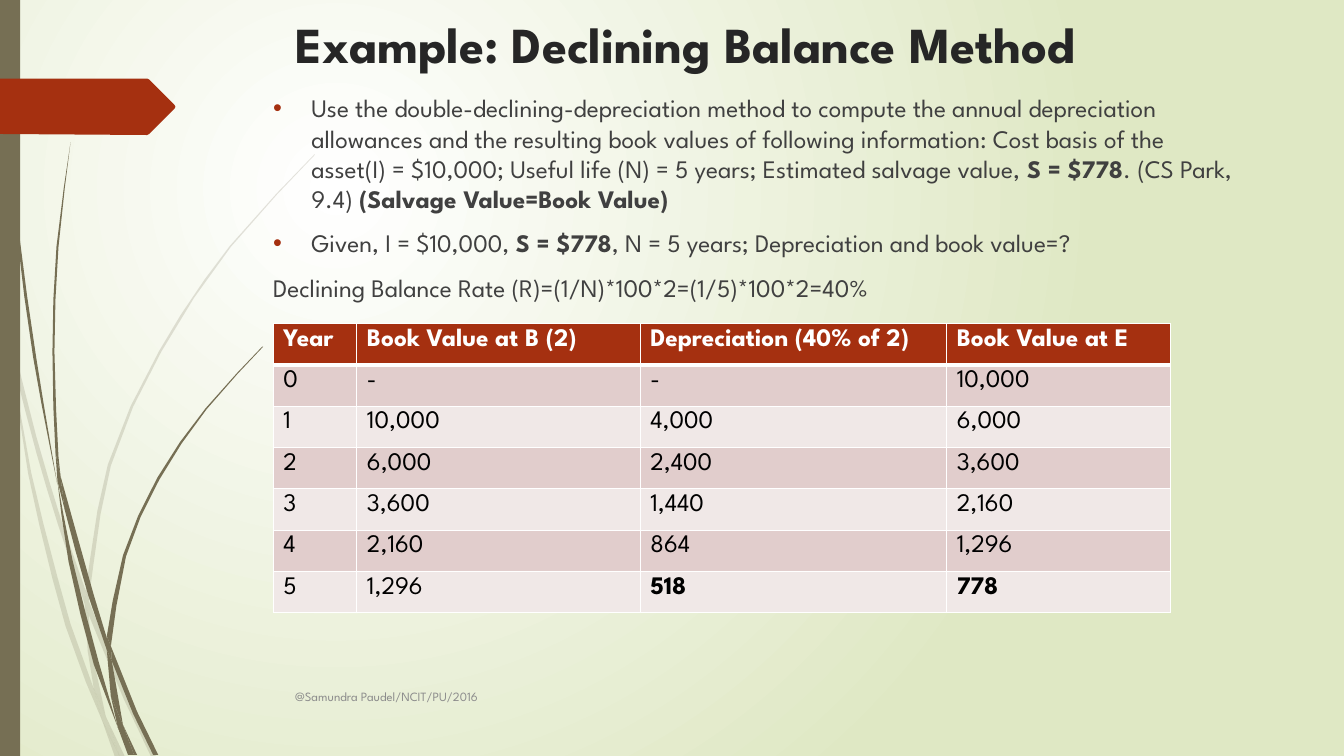
"""Build the declining balance slide with its grass border, notes and depreciation table."""
from dataclasses import dataclass
from math import dist

from lxml import etree
from pptx import Presentation
from pptx.dml.color import RGBColor
from pptx.enum.shapes import MSO_SHAPE
from pptx.enum.text import MSO_ANCHOR
from pptx.oxml.ns import qn
from pptx.util import Inches, Pt

RECTANGLE = MSO_SHAPE.RECTANGLE
TOP, MIDDLE = MSO_ANCHOR.TOP, MSO_ANCHOR.MIDDLE
FONT = "League Spartan"
COLORS = {
    "white": "FFFFFF", "meadow": "DFE8C4", "olive": "766F54", "rust": "A53010",
    "title": "262626", "body": "404040", "footer": "8C8C8C", "black": "000000",
    "dark_row": "E1CDCC", "light_row": "F0E8E7",
}
Point = tuple[float, float]


@dataclass(frozen=True)
class Blade:
    """Left and right edge of one grass blade, listed in the same direction."""
    left: tuple[Point, ...]
    right: tuple[Point, ...]


@dataclass(frozen=True)
class Note:
    """One body paragraph as (text, bold) spans."""
    spans: tuple[tuple[str, bool], ...]
    bullet: bool = True


FAINT_BLADES = (
    Blade(((0, 2.99), (0.11, 3.5)), ((0, 2.82), (0.09, 3.22), (0.11, 3.5))),
    Blade(((0.17, 3.76), (0.36, 4.49), (0.58, 5.22), (0.84, 5.99)),
          ((0.14, 3.45), (0.36, 4.33), (0.62, 5.2), (0.85, 5.86))),
    Blade(((0.88, 6.1), (1.23, 6.94), (1.5, 7.51)), ((0.88, 5.96), (1.27, 6.92), (1.55, 7.51))),
    Blade(((1.05, 7.11), (1.19, 7.51)), ((1.05, 7.11), (1.24, 7.51))),
    Blade(((0.11, 3.5), (0.28, 4.7), (0.65, 6.21), (1.01, 7.14)),
          ((0.11, 3.5), (0.31, 4.69), (0.7, 6.19), (0.93, 6.83), (1.01, 7.14))),
    Blade(((0.84, 5.99), (0.87, 6.46), (0.93, 6.83), (1.05, 7.11)),
          ((0.84, 5.99), (0.88, 6.1), (0.91, 6.46), (1.05, 7.11))),
    Blade(((3.12, 1.53), (2.28, 2.44), (1.58, 3.48), (1.07, 4.61), (0.85, 5.86)),
          ((3.12, 1.54), (2.29, 2.45), (1.6, 3.49), (1.1, 4.62), (0.88, 5.96))),
    Blade(((1.01, 7.14), (1.14, 7.51)), ((1.01, 7.14), (1.19, 7.51))),
    Blade(((0.85, 5.86), (0.84, 5.99), (0.88, 6.1)), ((0.85, 5.86), (0.88, 5.96), (0.88, 6.1))),
    Blade(((0.93, 6.83), (1.01, 7.14), (1.19, 7.51)), ((0.93, 6.83), (1.05, 7.11), (1.19, 7.51))),
)
SOLID_BLADES = (
    Blade(((0.03, 0), (0.07, 1.1), (0.17, 2.33), (0.33, 3.55), (0.57, 4.81)),
          ((0.04, 0), (0.08, 1.09), (0.19, 2.32), (0.36, 3.55), (0.57, 4.81))),
    Blade(((0.6, 4.72), (0.64, 5.05), (0.88, 5.92), (1.06, 6.45)),
          ((0.6, 4.72), (0.93, 5.9), (1.06, 6.33))),
    Blade(((1.1, 6.41), (1.11, 6.56), (1.32, 7.08), (1.52, 7.49)),
          ((1.1, 6.41), (1.36, 7.06), (1.57, 7.49))),
    Blade(((0.57, 4.77), (0.68, 5.57), (0.93, 6.59), (1.17, 7.22)),
          ((0.57, 4.77), (0.72, 5.56), (0.98, 6.57), (1.17, 7.22))),
    Blade(((0.7, 1.41), (0.56, 2.45), (0.52, 3.49), (0.55, 4.49), (0.6, 4.72)),
          ((0.7, 1.41), (0.58, 2.45), (0.54, 3.49), (0.58, 4.53), (0.6, 4.72))),
    Blade(((1.22, 7.19), (1.33, 7.49)), ((1.22, 7.19), (1.36, 7.49))),
    Blade(((0.55, 4.49), (0.57, 4.77), (0.64, 5.05)), ((0.55, 4.49), (0.6, 4.72), (0.64, 5.05))),
    Blade(((2.6, 3.44), (2.04, 4.05), (1.56, 4.74), (1.22, 5.51), (1.06, 6.31)),
          ((2.61, 3.44), (2.05, 4.06), (1.58, 4.76), (1.25, 5.52), (1.1, 6.41))),
    Blade(((1.17, 7.22), (1.27, 7.49)), ((1.17, 7.22), (1.31, 7.49))),
    Blade(((1.06, 6.45), (1.1, 6.91), (1.22, 7.19)), ((1.06, 6.45), (1.11, 6.56), (1.22, 7.19))),
    Blade(((1.06, 6.31), (1.06, 6.45), (1.11, 6.56)), ((1.06, 6.31), (1.1, 6.41), (1.11, 6.56))),
    Blade(((1.1, 6.91), (1.17, 7.22), (1.3, 7.49)), ((1.1, 6.91), (1.22, 7.19), (1.33, 7.49))),
)
ARROW_TAG = ((0, 0.78), (1.46, 0.78), (1.48, 0.79), (1.73, 1.04), (1.74, 1.06),
             (1.73, 1.08), (1.48, 1.33), (1.46, 1.34), (0, 1.33))
NOTES = (
    Note((("Use the double-declining-depreciation method to compute the annual depreciation "
           "allowances and the resulting book values of following information: Cost basis of "
           "the asset(I) = $10,000; Useful life (N) = 5 years; Estimated salvage value, ", False),
          ("S = $778", True), (". (CS Park, 9.4) ", False),
          ("(Salvage Value=Book Value)", True))),
    Note((("Given, I = $10,000, ", False), ("S = $778", True),
          (", N = 5 years; Depreciation and book value=?", False))),
    Note((("Declining Balance Rate (R)=(1/N)*100*2=(1/5)*100*2=40%", False),), bullet=False),
)
COLUMN_WIDTHS = (0.83, 2.81, 3.04, 2.22)
ROW_HEIGHT = 0.41
SCHEDULE = (
    ("Year", "Book Value at B (2)", "Depreciation (40% of 2)", "Book Value at E"),
    ("0", "-", "-", "10,000"),
    ("1", "10,000", "4,000", "6,000"),
    ("2", "6,000", "2,400", "3,600"),
    ("3", "3,600", "1,440", "2,160"),
    ("4", "2,160", "864", "1,296"),
    ("5", "1,296", "518", "778"),
)


def rgb(name: str) -> RGBColor:
    return RGBColor.from_string(COLORS[name])


def paint(shape, color: str, opacity: int = 100) -> None:
    shape.shadow.inherit = False
    shape.fill.solid()
    shape.fill.fore_color.rgb = rgb(color)
    shape.line.fill.background()
    if opacity < 100:
        tint = shape.element.find(".//" + qn("a:srgbClr"))
        etree.SubElement(tint, qn("a:alpha"), val=str(opacity * 1000))


def smooth(edge: tuple[Point, ...]) -> list[Point]:
    """Return points on a Catmull-Rom curve, about two per inch."""
    padded = (edge[0], *edge, edge[-1])
    curve = []
    for a, b, c, d in zip(padded, padded[1:], padded[2:], padded[3:]):
        steps = max(1, round(2 * dist(b, c)))
        for step in range(steps):
            t = step / steps
            curve.append(tuple(
                q + t * ((r - p) + t * ((2 * p - 5 * q + 4 * r - s) + t * (3 * q - p - 3 * r + s))) / 2
                for p, q, r, s in zip(a, b, c, d)))
    return [*curve, edge[-1]]


def draw_outline(page, points, color: str, opacity: int = 100) -> None:
    corners = [(Inches(x), Inches(y)) for x, y in points]
    builder = page.shapes.build_freeform(*corners[0])
    builder.add_line_segments(corners[1:], close=True)
    paint(builder.convert_to_shape(), color, opacity)


def add_span(para, text: str, *, size: float, color: str, bold: bool = False) -> None:
    span = para.add_run()
    span.text = text
    span.font.name, span.font.size, span.font.bold = FONT, Pt(size), bold
    span.font.color.rgb = rgb(color)


def add_box(page, left: float, top: float, width: float, height: float, anchor=TOP):
    box = page.shapes.add_textbox(Inches(left), Inches(top), Inches(width), Inches(height))
    box.text_frame.word_wrap = True
    box.text_frame.vertical_anchor = anchor
    return box.text_frame


def add_bullet(para) -> None:
    properties = para._p.get_or_add_pPr()
    properties.set("marL", str(Inches(0.38)))
    properties.set("indent", str(Inches(-0.38)))
    bullet_color = etree.SubElement(properties, qn("a:buClr"))
    etree.SubElement(bullet_color, qn("a:srgbClr"), val=COLORS["rust"])
    etree.SubElement(properties, qn("a:buFont"), typeface="Arial")
    etree.SubElement(properties, qn("a:buChar"), char="•")


def add_borders(cell, row: int) -> None:
    widths = {"L": 1, "R": 1, "T": 3 if row == 1 else 1, "B": 3 if row == 0 else 1}
    properties = cell._tc.get_or_add_tcPr()
    for index, (side, width) in enumerate(widths.items()):
        line = etree.Element(qn(f"a:ln{side}"), w=str(Pt(width)))
        fill = etree.SubElement(line, qn("a:solidFill"))
        etree.SubElement(fill, qn("a:srgbClr"), val=COLORS["white"])
        properties.insert(index, line)


def draw_background(page) -> None:
    fill = page.background.fill
    fill.gradient()
    for stop, color in zip(fill.gradient_stops, ("white", "meadow")):
        stop.color.rgb = rgb(color)
    linear = page.element.find(".//" + qn("a:lin"))
    circle = etree.Element(qn("a:path"), path="circle")
    etree.SubElement(circle, qn("a:fillToRect"), l="50000", t="50000", r="100000", b="100000")
    linear.getparent().replace(linear, circle)


def draw_schedule(page) -> None:
    table = page.shapes.add_table(
        len(SCHEDULE), len(COLUMN_WIDTHS), Inches(2.71), Inches(3.21),
        Inches(sum(COLUMN_WIDTHS)), Inches(ROW_HEIGHT * len(SCHEDULE))).table
    for column, width in zip(table.columns, COLUMN_WIDTHS):
        column.width = Inches(width)
    for row, values in enumerate(SCHEDULE):
        table.rows[row].height = Inches(ROW_HEIGHT)
        header, last = row == 0, row == len(SCHEDULE) - 1
        shade = "rust" if header else ("light_row", "dark_row")[row % 2]
        for column, value in enumerate(values):
            cell = table.cell(row, column)
            cell.fill.solid()
            cell.fill.fore_color.rgb = rgb(shade)
            add_borders(cell, row)
            add_span(cell.text_frame.paragraphs[0], value, size=18,
                     color="white" if header else "black", bold=header or (last and column > 1))


def main() -> None:
    deck = Presentation()
    deck.slide_width, deck.slide_height = Inches(13.33), Inches(7.5)
    page = deck.slides.add_slide(deck.slide_layouts[6])
    draw_background(page)
    for blades, opacity in ((FAINT_BLADES, 20), (SOLID_BLADES, 100)):
        for blade in blades:
            draw_outline(page, smooth(blade.left) + smooth(blade.right)[::-1], "olive", opacity)
    paint(page.shapes.add_shape(RECTANGLE, 0, 0, Inches(0.2), Inches(7.5)), "olive")
    draw_outline(page, ARROW_TAG, "rust")
    title = add_box(page, 2.83, 0.08, 9.75, 1.4)
    add_span(title.paragraphs[0], "Example: Declining Balance Method", size=36, color="title", bold=True)
    body = add_box(page, 2.61, 0.87, 9.75, 2.34)
    for index, note in enumerate(NOTES):
        para = body.add_paragraph() if index else body.paragraphs[0]
        para.space_before = Pt(10)
        if note.bullet:
            add_bullet(para)
        for text, bold in note.spans:
            add_span(para, text, size=18, color="body", bold=bold)
    footer = add_box(page, 2.83, 6.71, 8.33, 0.4, MIDDLE)
    add_span(footer.paragraphs[0], "@Samundra Paudel/NCIT/PU/2016", size=9, color="footer")
    draw_schedule(page)
    deck.save("out.pptx")


if __name__ == "__main__":
    main()
